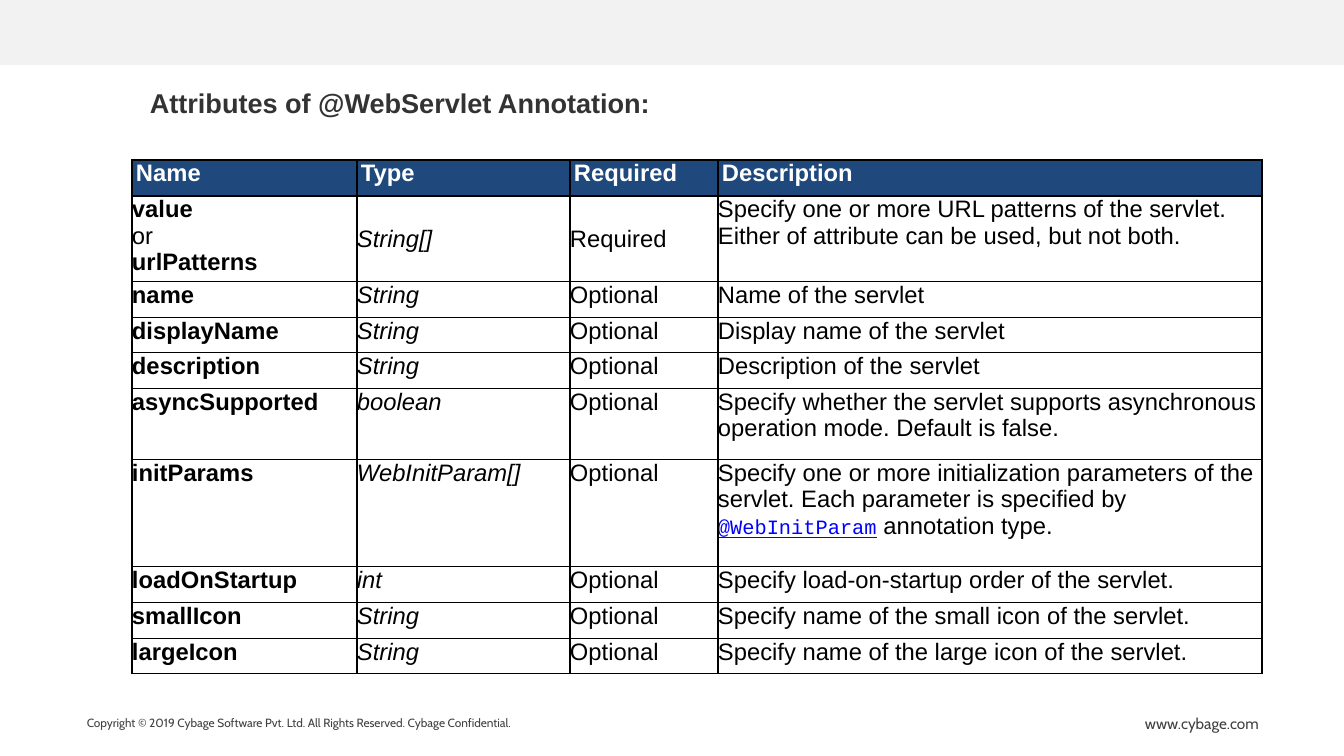
from lxml import etree
from pptx import Presentation
from pptx.dml.color import RGBColor
from pptx.enum.shapes import MSO_SHAPE
from pptx.enum.text import MSO_ANCHOR
from pptx.oxml.ns import qn
from pptx.util import Pt

PX = 7484  # EMU per px
RECT = MSO_SHAPE.RECTANGLE
TOP, MIDDLE = MSO_ANCHOR.TOP, MSO_ANCHOR.MIDDLE
BLACK, WHITE, NAVY, LINK = "000000", "FFFFFF", "1F497D", "0000FF"
BAND, TITLE, FOOTER = "F2F2F2", "333333", "404040"

HEADER = ["Name", "Type", "Required", "Description"]
LINKED = "@WebInitParam"
ATTRIBUTES = [
    ("value\nor\nurlPatterns", "String[]", "Required",
     "Specify one or more URL patterns of the servlet. "
     "Either of attribute can be used, but not both."),
    ("name", "String", "Optional", "Name of the servlet"),
    ("displayName", "String", "Optional", "Display name of the servlet"),
    ("description", "String", "Optional", "Description of the servlet"),
    ("asyncSupported", "boolean", "Optional",
     "Specify whether the servlet supports asynchronous operation mode. Default is false."),
    ("initParams", "WebInitParam[]", "Optional",
     "Specify one or more initialization parameters of the servlet. "
     "Each parameter is specified by @WebInitParam annotation type."),
    ("loadOnStartup", "int", "Optional", "Specify load-on-startup order of the servlet."),
    ("smallIcon", "String", "Optional", "Specify name of the small icon of the servlet."),
    ("largeIcon", "String", "Optional", "Specify name of the large icon of the servlet."),
]
COLS = [225, 213, 148, 544]
ROWS = [36, 85, 36, 35, 36, 71, 107, 36, 36, 35]


def px(n):
    return n * PX


def rgb(color):
    return RGBColor.from_string(color)


def set_font(font, size, color, name="Arial", bold=False, italic=False):
    font.size, font.name = Pt(size), name
    font.bold, font.italic = bold, italic
    font.color.rgb = rgb(color)


class Deck:
    def __init__(self, width, height):
        self.prs = Presentation()
        self.prs.slide_width, self.prs.slide_height = px(width), px(height)
        self.s = self.prs.slides.add_slide(self.prs.slide_layouts[6])

    def rect(self, x, y, w, h, fill):
        sp = self.s.shapes.add_shape(RECT, px(x), px(y), px(w), px(h))
        sp.shadow.inherit = False
        sp.fill.solid()
        sp.fill.fore_color.rgb = rgb(fill)
        sp.line.fill.background()

    def text(self, x, y, w, h, text, size, color, inset=(13, 6), **style):
        tf = self.s.shapes.add_textbox(px(x), px(y), px(w), px(h)).text_frame
        tf.word_wrap = True
        tf.margin_left = tf.margin_right = px(inset[0])
        tf.margin_top = tf.margin_bottom = px(inset[1])
        p = tf.paragraphs[0]
        p.text = text
        set_font(p.font, size, color, **style)

    def table(self, x, y, cols, rows):
        frame = self.s.shapes.add_table(len(rows), len(cols), px(x), px(y),
                                        px(sum(cols)), px(sum(rows)))
        table = frame.table
        for col, width in zip(table.columns, cols):
            col.width = px(width)
        for row, height in zip(table.rows, rows):
            row.height = px(height)
        return table

    def cell(self, cell, text, fill, color, inset=0, anchor=TOP, bold=False, italic=False):
        cell.margin_left = cell.margin_right = px(inset)
        cell.margin_top = cell.margin_bottom = 0
        cell.vertical_anchor = anchor
        self.borders(cell)
        cell.fill.solid()
        cell.fill.fore_color.rgb = rgb(fill)
        tf = cell.text_frame
        for i, line in enumerate(text.split("\n")):
            p = tf.add_paragraph() if i else tf.paragraphs[0]
            before, link, after = line.partition(LINKED)
            for part in filter(None, (before, link, after)):
                r = p.add_run()
                r.text = part
                if part == LINKED:
                    set_font(r.font, 12, LINK, "Courier New")
                    r.font.underline = True
                else:
                    set_font(r.font, 14, color, bold=bold and part != "or", italic=italic)

    def borders(self, cell):
        tc_pr = cell._tc.get_or_add_tcPr()
        for side in ("lnL", "lnR", "lnT", "lnB"):
            ln = etree.SubElement(tc_pr, qn("a:" + side), w=str(Pt(1)))
            fill = etree.SubElement(ln, qn("a:solidFill"))
            etree.SubElement(fill, qn("a:srgbClr"), val=BLACK)


def main():
    deck = Deck(1344, 756)

    # Top band and footer
    deck.rect(0, 0, 1344, 65, BAND)
    deck.text(74, 710, 669, 27,
              "Copyright © 2019 Cybage Software Pvt. Ltd. All Rights Reserved. Cybage Confidential.",
              7, FOOTER, name="Cabin")
    deck.text(1132, 708, 159, 32, "www.cybage.com", 9, FOOTER, name="Cabin")

    # Attribute table
    table = deck.table(132, 160, COLS, ROWS)
    for c, text in enumerate(HEADER):
        deck.cell(table.cell(0, c), text, NAVY, WHITE, inset=4, bold=True)
    for r, attribute in enumerate(ATTRIBUTES, 1):
        for c, text in enumerate(attribute):
            anchor = MIDDLE if r == 1 and c in (1, 2) else TOP
            deck.cell(table.cell(r, c), text, WHITE, BLACK, anchor=anchor,
                      bold=c == 0, italic=c == 1)

    # Title
    deck.text(150, 84, 1194, 57, "Attributes of @WebServlet Annotation:",
              16, TITLE, inset=(0, 2), bold=True)

    deck.prs.save("out.pptx")


if __name__ == "__main__":
    main()
